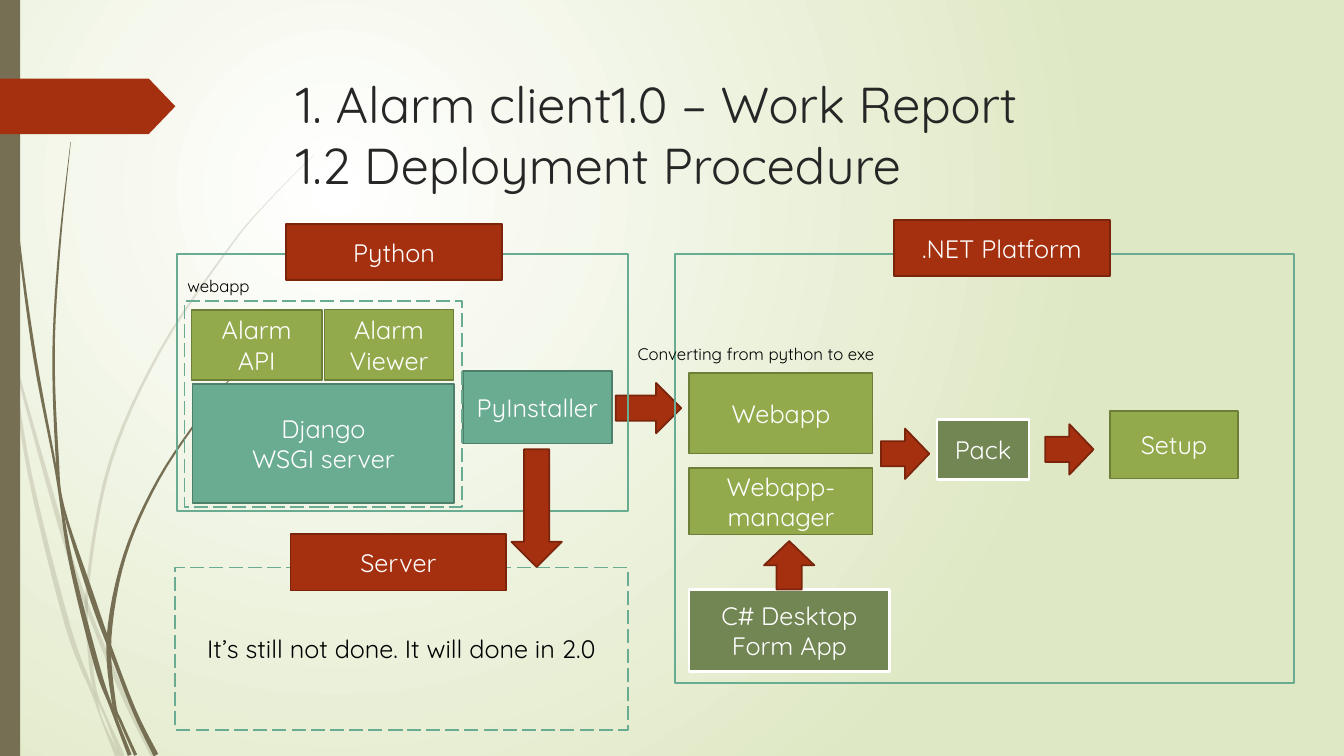
from dataclasses import dataclass
from math import hypot

from lxml.etree import SubElement
from pptx import Presentation
from pptx.dml.color import RGBColor
from pptx.enum.dml import MSO_LINE
from pptx.enum.shapes import MSO_SHAPE
from pptx.enum.text import MSO_ANCHOR, PP_ALIGN
from pptx.oxml.ns import qn
from pptx.util import Cm, Pt


@dataclass(frozen=True)
class Theme:
    font: str = "Quicksand"
    big: int = 36
    body: int = 18
    small: int = 12
    white: str = "FFFFFF"
    black: str = "000000"
    ink: str = "262626"
    mist: str = "DFE8C4"
    stem: str = "766F54"
    teal: tuple = ("6AAC91", "4E7F6B")
    lime: tuple = ("92AA4C", "6C7E38")
    rust: tuple = ("A53010", "7A240C")
    moss: tuple = ("728653", "FFFFFF")


def write(frame, text, size, font, color, align=PP_ALIGN.LEFT, anchor=MSO_ANCHOR.TOP, wrap=True):
    frame.text = text
    frame.word_wrap = wrap
    frame.vertical_anchor = anchor
    for para in frame.paragraphs:
        para.alignment = align
        para.font.size = Pt(size)
        para.font.name = font
        para.font.color.rgb = RGBColor.from_string(color)


def smooth(knots, steps=6):
    """Catmull-Rom points through the knots, each (x, y, width)."""
    ends = [knots[0], *knots, knots[-1]]
    points = []
    for a, b, c, d in zip(ends, ends[1:], ends[2:], ends[3:]):
        for i in range(steps):
            t = i / steps
            points.append(tuple(
                q + t * ((r - p) + t * ((2 * p - 5 * q + 4 * r - s) + t * (3 * q - p - 3 * r + s))) / 2
                for p, q, r, s in zip(a, b, c, d)))
    return points + [knots[-1]]


class Board:
    def __init__(self, slide, theme):
        self.slide, self.theme = slide, theme
        self.shapes = slide.shapes

    def glow(self):
        """Fill the background with a round gradient centred up and left."""
        fill = self.slide.background.fill
        fill.gradient()
        for stop, color in zip(fill.gradient_stops, (self.theme.white, self.theme.mist)):
            stop.color.rgb = RGBColor.from_string(color)
        grad = self.slide._element.find(".//" + qn("a:gradFill"))
        lin = grad.find(qn("a:lin"))
        if lin is not None:
            grad.remove(lin)
        ring = SubElement(grad, qn("a:path"), {"path": "circle"})
        SubElement(ring, qn("a:fillToRect"), l="50000", t="50000", r="100000", b="100000")

    def paint(self, shape, fill=None, line=None, width=1.25, dash=None):
        shape.shadow.inherit = False
        if fill:
            shape.fill.solid()
            shape.fill.fore_color.rgb = RGBColor.from_string(fill)
        else:
            shape.fill.background()
        if line:
            shape.line.color.rgb = RGBColor.from_string(line)
            shape.line.width = Pt(width)
            if dash:
                shape.line.dash_style = dash
        else:
            shape.line.fill.background()
        return shape

    def form(self, kind, at, **look):
        return self.paint(self.shapes.add_shape(kind, *map(Cm, at)), **look)

    def box(self, text, at, tone, width=1.25):
        fill, line = tone
        shape = self.form(MSO_SHAPE.RECTANGLE, at, fill=fill, line=line, width=width)
        self.label(shape, text, self.theme.white)

    def label(self, shape, text, color):
        write(shape.text_frame, text, self.theme.body, self.theme.font, color,
              align=PP_ALIGN.CENTER, anchor=MSO_ANCHOR.MIDDLE)

    def frame(self, at, dash=None):
        return self.form(MSO_SHAPE.RECTANGLE, at, line=self.theme.teal[0], dash=dash)

    def arrow(self, at, turn=0):
        fill, line = self.theme.rust
        self.form(MSO_SHAPE.RIGHT_ARROW, at, fill=fill, line=line).rotation = turn

    def text(self, text, at, size, color, wrap=True):
        area = self.shapes.add_textbox(*map(Cm, at))
        write(area.text_frame, text, size, self.theme.font, color, wrap=wrap)

    def blade(self, knots, alpha=None):
        """Draw a curved grass blade along knots of (x, y, width)."""
        mid = smooth(knots)
        left, right = [], []
        for i, (x, y, w) in enumerate(mid):
            a, b = mid[max(i - 1, 0)], mid[min(i + 1, len(mid) - 1)]
            dx, dy = b[0] - a[0], b[1] - a[1]
            half = w / 2 / (hypot(dx, dy) or 1)
            left.append((Cm(x - dy * half), Cm(y + dx * half)))
            right.append((Cm(x + dy * half), Cm(y - dx * half)))
        rim = left + right[::-1]
        pen = self.shapes.build_freeform(*rim[0])
        pen.add_line_segments(rim[1:])
        shape = self.paint(pen.convert_to_shape(), fill=self.theme.stem)
        if alpha:
            tint = shape._element.spPr.find(qn("a:solidFill"))[0]
            SubElement(tint, qn("a:alpha"), val=str(alpha * 1000))


PALE = [
    [(0, 7.37, .08), (.28, 8.89, .06), (.75, 11.94, .1), (1.7, 15.75, .13), (2.35, 17.48, .08),
     (2.57, 18.14, .04), (2.96, 19.05, .12)],
    [(.36, 8.76, .01), (.45, 9.4, .06), (1.52, 13.23, .12), (2.2, 15.3, .1), (3.15, 17.6, .12),
     (3.87, 19.05, .13)],
    [(7.92, 3.89, .01), (6.81, 5.02, .02), (5.8, 6.21, .04), (4.03, 8.85, .06), (2.76, 11.72, .08),
     (2.2, 14.83, .08), (2.26, 16.4, .1), (2.4, 17.4, .08), (2.68, 18.1, .06), (3.08, 19.05, .13)],
]
DARK = [
    [(.09, 0, .03), (.19, 2.78, .03), (.46, 5.9, .05), (.88, 9.02, .08), (1.42, 11.9, .06),
     (1.78, 14.14, .1), (2.43, 16.73, .13), (2.8, 17.8, .08), (3.27, 19.03, .1)],
    [(1.78, 3.58, .01), (1.5, 6.22, .05), (1.35, 8.86, .06), (1.44, 11.5, .08), (1.6, 12.8, .06),
     (2.3, 15, .13), (2.8, 16.4, .1), (3.4, 17.95, .1), (3.93, 19.03, .13)],
    [(6.62, 8.74, .01), (5.87, 9.48, .02), (5.2, 10.29, .04), (4, 12.07, .06), (3.14, 14.01, .08),
     (2.75, 16.05, .12), (2.87, 17.7, .1), (3.05, 18.2, .07), (3.42, 19.03, .08)],
]


def main():
    deck = Presentation()
    deck.slide_width, deck.slide_height = Cm(33.87), Cm(19.05)
    look = Theme()
    board = Board(deck.slides.add_slide(deck.slide_layouts[6]), look)

    board.glow()
    for knots in PALE:
        board.blade(knots, alpha=20)
    for knots in DARK:
        board.blade(knots)
    board.form(MSO_SHAPE.RECTANGLE, (0, 0, .51, 19.05), fill=look.stem)
    tab = board.form(MSO_SHAPE.PENTAGON, (0, 1.98, 4.42, 1.4), fill=look.rust[0])
    tab.adjustments[0] = .48
    board.text("1. Alarm client1.0 – Work Report\n1.2 Deployment Procedure",
               (7.21, 1.73, 24.77, 3.56), look.big, look.ink)

    board.box("Django\nWSGI server", (4.85, 9.68, 6.6, 3), look.teal)
    board.box("PyInstaller", (11.66, 9.35, 3.76, 1.83), look.teal)
    board.box("C# Desktop Form App", (17.37, 14.86, 5.05, 2.06), look.moss, width=1.75)
    board.box("Pack", (23.62, 10.57, 2.31, 1.52), look.moss, width=1.75)
    for name, at in (
        ("Alarm API", (4.83, 7.82, 3.28, 1.75)),
        ("Webapp", (17.37, 9.4, 4.62, 2.03)),
        ("Webapp-manager", (17.37, 11.79, 4.62, 1.68)),
        ("Setup", (27.97, 10.36, 3.23, 1.7)),
        ("Alarm Viewer", (8.18, 7.8, 3.25, 1.78)),
    ):
        board.box(name, at, look.lime)

    board.arrow((15.52, 9.65, 1.65, 1.27))
    board.arrow((19.28, 13.61, 1.22, 1.27), turn=270)
    board.frame((4.47, 6.4, 11.35, 6.48))
    board.frame((17.02, 6.4, 15.6, 10.82))
    board.arrow((22.2, 10.8, 1.22, 1.27))
    board.arrow((26.34, 10.69, 1.22, 1.27))
    later = board.frame((4.42, 14.3, 11.4, 4.09), dash=MSO_LINE.LONG_DASH)
    board.label(later, "It’s still not done. It will done in 2.0", look.black)
    board.arrow((12.04, 12.17, 2.97, 1.27), turn=90)
    for name, x, y in (("Python", 7.21, 5.64), (".NET Platform", 22.53, 5.54), ("Server", 7.32, 13.46)):
        board.box(name, (x, y, 5.44, 1.42), look.rust)
    board.frame((4.65, 7.59, 6.99, 5.18), dash=MSO_LINE.LONG_DASH)
    board.text("webapp", (4.47, 6.83, 2.31, .76), look.small, look.black, wrap=False)
    board.text("Converting from python to exe", (15.82, 8.53, 6.91, .76),
               look.small, look.black, wrap=False)
    deck.save("out.pptx")


if __name__ == "__main__":
    main()
